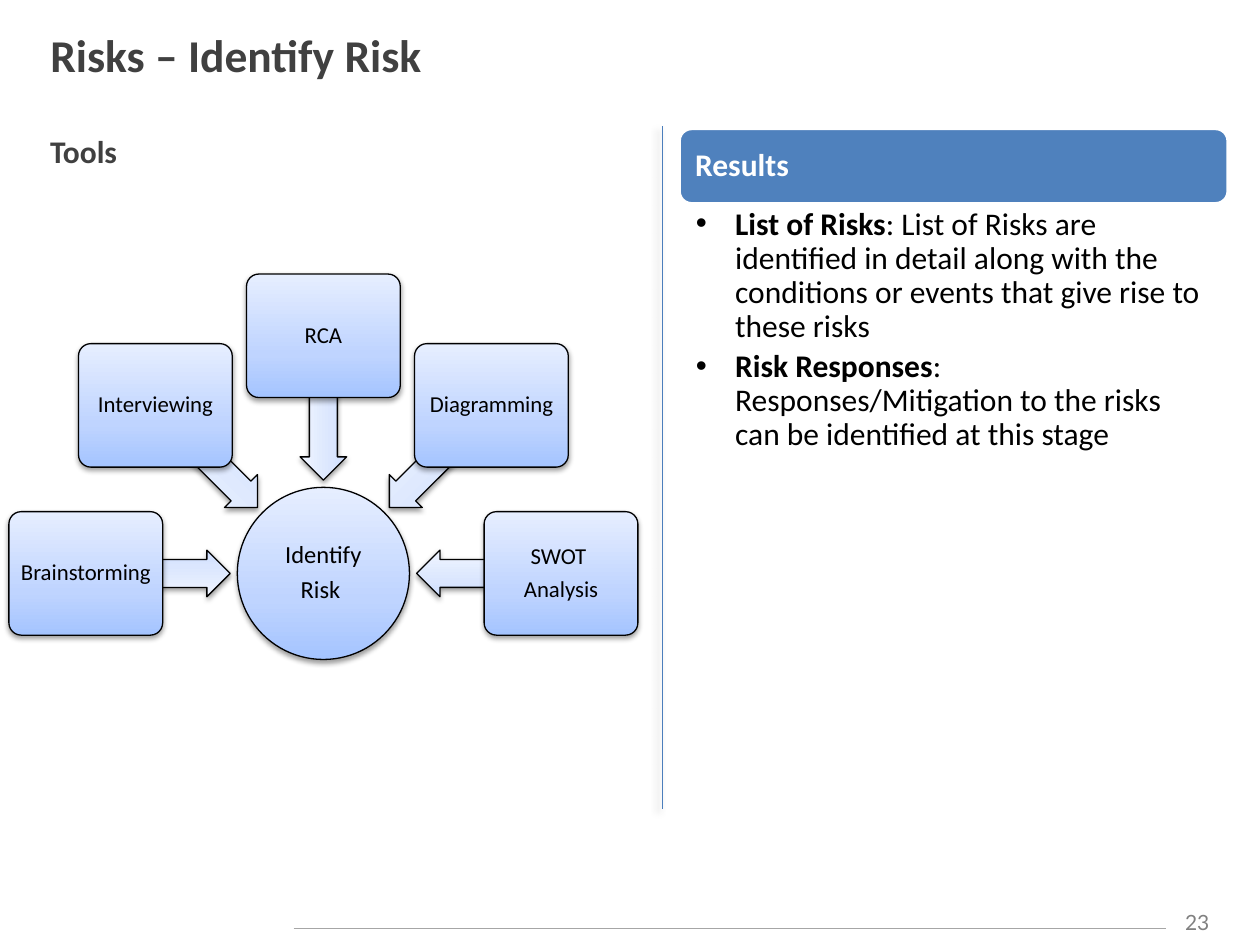
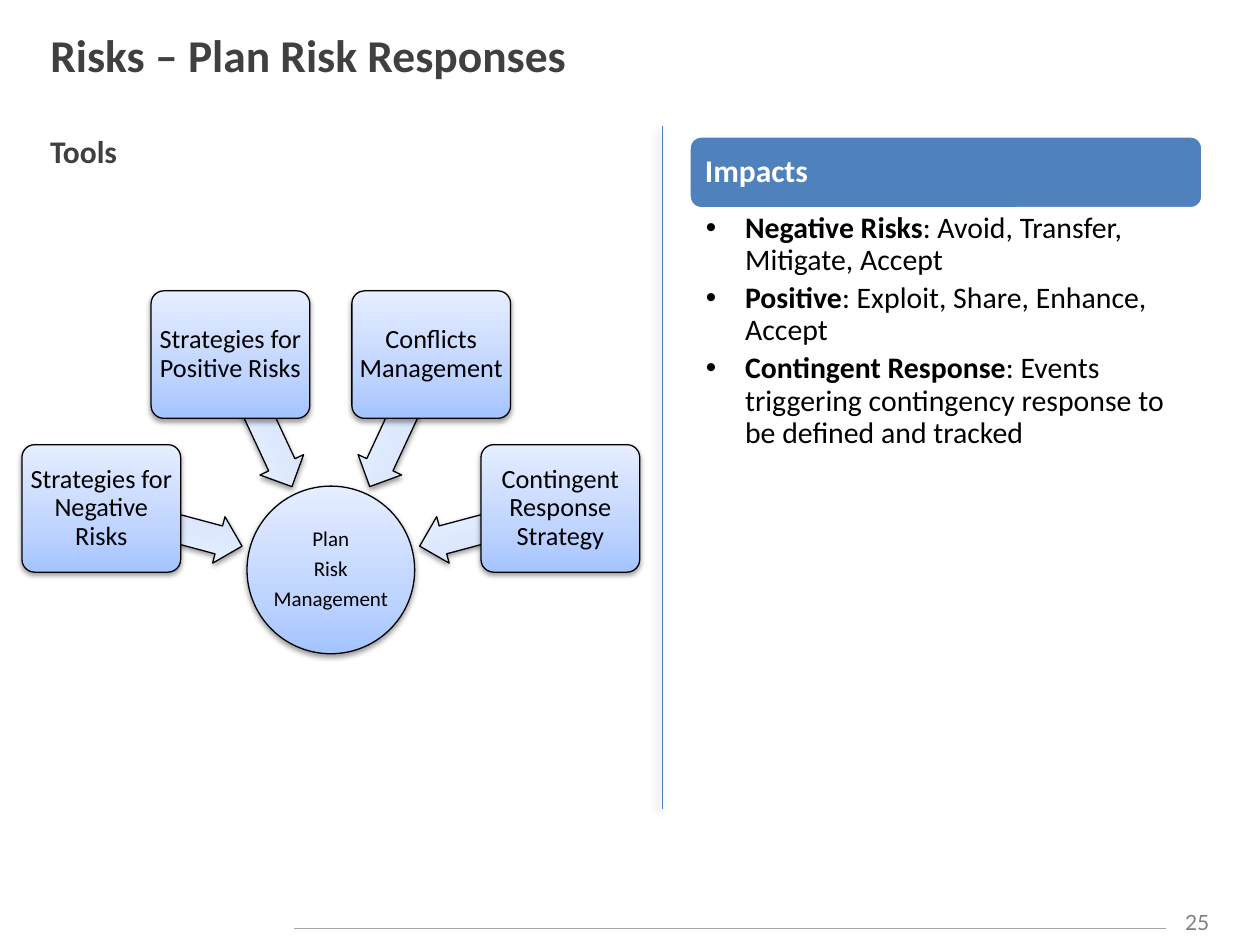
"""Build two risk slides: a wheel of tools beside a panel of findings."""
import math
from dataclasses import dataclass
from typing import Any

import pptx
import pptx.dml.color
import pptx.enum.shapes
import pptx.enum.text
import pptx.oxml
import pptx.oxml.ns
import pptx.util

Cm = pptx.util.Cm
Pt = pptx.util.Pt
Align = pptx.enum.text.PP_ALIGN
Anchor = pptx.enum.text.MSO_ANCHOR
Preset = pptx.enum.shapes.MSO_SHAPE
Runs = list[tuple[str, bool]]

DARK, BLACK, WHITE, GREY = "404040", "000000", "FFFFFF", "808080"
RULE, DIVIDER, BANNER = "A6A6A6", "4B7EBC", "4F81BD"
BOX_GRADIENT = {0: "A4C4FF", 35: "BFD4FF", 100: "E6EEFF"}
ARROW_GRADIENT = {0: "CDDDFE", 35: "DBE6FE", 100: "F0F5FF"}
TOOL_RADIUS, ARROW_RADIUS = 4.79, 3.33
BULLET_INDENT = Cm(0.79)


@dataclass(frozen=True)
class Area:
    """A rectangle in centimetres."""
    left: float
    top: float
    width: float
    height: float

    def lengths(self) -> list[int]:
        """Return left, top, width and height as lengths."""
        return [Cm(value) for value in (self.left, self.top, self.width, self.height)]


@dataclass(frozen=True)
class TextStyle:
    """Font and paragraph settings for one kind of text."""
    size: float
    color: str
    font: str = "Calibri"
    align: Any = Align.LEFT
    line_spacing: float = 1.0
    after: float = 0.0


@dataclass(frozen=True)
class Shadow:
    """An outer shadow, with opacity in percent and lengths in points."""
    opacity: int
    blur: float
    distance: float
    direction: int


@dataclass(frozen=True)
class Wheel:
    """A hub with tools placed evenly on an arc above it."""
    center: tuple[float, float]
    hub: list[str]
    hub_diameter: float
    hub_size: int
    tools: list[list[str]]
    tool_size: int
    box: tuple[float, float]
    arrow: tuple[float, float]
    first_angle: int
    step: int


@dataclass(frozen=True)
class Panel:
    """A banner with a bulleted list below it."""
    heading: str
    banner: Area
    list_height: float
    size: int
    items: list[tuple[str, str]]


@dataclass(frozen=True)
class RiskSlide:
    """The content of one slide."""
    title: str
    number: str
    wheel: Wheel
    panel: Panel


BOX_SHADOW = Shadow(38, 3.1, 1.6, 90)
DIVIDER_SHADOW = Shadow(40, 4, 3, 135)

SLIDES = [
    RiskSlide(
        "Risks – Identify Risk", "23",
        Wheel((6.52, 11.56), ["Identify", "Risk "], 3.47, 14,
              [["Brainstorming"], ["Interviewing"], ["RCA"], ["Diagramming"],
               ["SWOT ", "Analysis"]],
              13, (3.1, 2.49), (2.9, 0.94), 180, 45),
        Panel("Results", Area(13.69, 2.59, 11.07, 1.52), 5.28, 18, [
            ("List of Risks", ": List of Risks are identified in detail along with "
                              "the conditions or events that give rise to these risks"),
            ("Risk Responses", ": Responses/Mitigation to the risks can be "
                               "identified at this stage"),
        ])),
    RiskSlide(
        "Risks – Plan Risk Responses", "25",
        Wheel((6.67, 11.49), ["Plan", "Risk", "Management"], 3.38, 12,
              [["Strategies for Negative Risks"], ["Strategies for Positive Risks"],
               ["Conflicts Management"], ["Contingent Response Strategy"]],
              15, (3.2, 2.57), (2.95, 0.97), 195, 50),
        Panel("Impacts", Area(13.89, 2.74, 10.36, 1.47), 5.05, 17, [
            ("Negative Risks", ": Avoid, Transfer, Mitigate, Accept"),
            ("Positive", ": Exploit, Share, Enhance, Accept"),
            ("Contingent Response", ": Events triggering contingency response "
                                    "to be defined and tracked"),
        ])),
]


def rgb(color: str) -> pptx.dml.color.RGBColor:
    """Turn a hex string into a colour."""
    return pptx.dml.color.RGBColor.from_string(color)


def apply_format(target: Any, values: dict[str, Any]) -> None:
    """Set each named attribute on the target."""
    for name, value in values.items():
        setattr(target, name, value)


def margins(left: float, top: float, right: float, bottom: float) -> dict[str, Any]:
    """Return text frame margins given in centimetres."""
    sides = {"left": left, "top": top, "right": right, "bottom": bottom}
    return {f"margin_{side}": Cm(value) for side, value in sides.items()}


def write_text(frame: Any, paragraphs: list[Runs], style: TextStyle,
               frame_format: dict[str, Any]) -> None:
    """Fill a text frame with styled paragraphs."""
    apply_format(frame, {"word_wrap": True,
                         "auto_size": pptx.enum.text.MSO_AUTO_SIZE.NONE, **frame_format})
    for index, runs in enumerate(paragraphs):
        paragraph = frame.add_paragraph() if index else frame.paragraphs[0]
        apply_format(paragraph, {"alignment": style.align, "space_before": Pt(0),
                                 "line_spacing": style.line_spacing,
                                 "space_after": Pt(round(style.size * style.after, 2))})
        for text, bold in runs:
            run = paragraph.add_run()
            run.text = text
            apply_format(run.font, {"name": style.font, "size": Pt(style.size), "bold": bold})
            run.font.color.rgb = rgb(style.color)


def add_effects(properties: Any, shadow: Shadow | None) -> None:
    """Give shape properties an effect list, with a shadow if there is one."""
    tag = pptx.oxml.ns.qn("a:effectLst")
    effects = properties.find(tag)
    if effects is None:
        effects = properties.makeelement(tag, {})
        properties.append(effects)
    if shadow:
        effects.append(pptx.oxml.parse_xml(
            f'<a:outerShdw {pptx.oxml.ns.nsdecls("a")} blurRad="{Pt(shadow.blur)}" '
            f'dist="{Pt(shadow.distance)}" dir="{shadow.direction * 60000}" '
            f'rotWithShape="0"><a:srgbClr val="{BLACK}">'
            f'<a:alpha val="{shadow.opacity * 1000}"/></a:srgbClr></a:outerShdw>'))


def add_rule(slide: Any, ends: tuple[float, float, float, float], color: str,
             width: float, shadow: Shadow | None = None) -> None:
    """Draw a straight line."""
    rule = slide.shapes.add_connector(pptx.enum.shapes.MSO_CONNECTOR.STRAIGHT,
                                      *(Cm(value) for value in ends))
    rule.line.color.rgb = rgb(color)
    rule.line.width = Pt(width)
    add_effects(rule._element.spPr, shadow)


def add_gradient_shape(slide: Any, preset: Any, center: tuple[float, float],
                       size: tuple[float, float], gradient: dict[int, str],
                       adjustments: tuple[float, ...] = (), rotation: float = 0) -> Any:
    """Draw a shaded shape around its centre."""
    (x, y), (width, height) = center, size
    area = Area(x - width / 2, y - height / 2, width, height)
    shape = slide.shapes.add_shape(preset, *area.lengths())
    shape.rotation = rotation
    for index, value in enumerate(adjustments):
        shape.adjustments[index] = value
    shape.fill.gradient()
    properties = shape._element.spPr
    stops = "".join(f'<a:gs pos="{place * 1000}"><a:srgbClr val="{color}"/></a:gs>'
                    for place, color in gradient.items())
    properties.replace(properties.find(pptx.oxml.ns.qn("a:gradFill")), pptx.oxml.parse_xml(
        f'<a:gradFill {pptx.oxml.ns.nsdecls("a")} rotWithShape="1"><a:gsLst>{stops}</a:gsLst>'
        '<a:lin ang="16200000" scaled="0"/></a:gradFill>'))
    shape.line.color.rgb = rgb(BLACK)
    shape.line.width = Pt(0.75)
    shape.shadow.inherit = False
    add_effects(properties, BOX_SHADOW)
    return shape


def write_label(shape: Any, lines: list[str], size: int, inset: float) -> None:
    """Centre a label in a wheel shape."""
    style = TextStyle(size, BLACK, align=Align.CENTER, line_spacing=0.9, after=0.35)
    write_text(shape.text_frame, [[(line, False)] for line in lines], style,
               {"vertical_anchor": Anchor.MIDDLE, **margins(*[inset] * 4)})


def draw_wheel(slide: Any, wheel: Wheel) -> None:
    """Draw the hub, then each tool with its arrow."""
    hub = add_gradient_shape(slide, Preset.OVAL, wheel.center,
                             (wheel.hub_diameter, wheel.hub_diameter), BOX_GRADIENT)
    write_label(hub, wheel.hub, wheel.hub_size, 0.03)
    for index, tool in enumerate(wheel.tools):
        angle = wheel.first_angle + index * wheel.step
        toward = math.cos(math.radians(angle)), math.sin(math.radians(angle))
        arrow_center, box_center = (
            (wheel.center[0] + radius * toward[0], wheel.center[1] + radius * toward[1])
            for radius in (ARROW_RADIUS, TOOL_RADIUS))
        add_gradient_shape(slide, Preset.LEFT_ARROW, arrow_center, wheel.arrow,
                           ARROW_GRADIENT, (0.6, 0.5), angle % 360)
        box = add_gradient_shape(slide, Preset.ROUNDED_RECTANGLE, box_center, wheel.box,
                                 BOX_GRADIENT, (0.1,))
        write_label(box, tool, wheel.tool_size, 0.08)


def draw_panel(slide: Any, panel: Panel) -> None:
    """Draw the banner and fill the body placeholder below it."""
    area = panel.banner
    banner = slide.shapes.add_shape(Preset.ROUNDED_RECTANGLE, *area.lengths())
    banner.fill.solid()
    banner.fill.fore_color.rgb = rgb(BANNER)
    banner.line.color.rgb = rgb(WHITE)
    banner.line.width = Pt(2)
    banner.shadow.inherit = False
    write_text(banner.text_frame, [[(panel.heading, True)]],
               TextStyle(18, WHITE, line_spacing=0.9, after=0.35),
               {"vertical_anchor": Anchor.MIDDLE, **margins(*[0.25] * 4)})

    findings = slide.placeholders[1]
    place(findings, Area(area.left, area.top + area.height, area.width, panel.list_height))
    write_text(findings.text_frame, [[(term, True), (text, False)] for term, text in panel.items],
               TextStyle(panel.size, BLACK, line_spacing=0.9, after=0.2),
               {"vertical_anchor": Anchor.TOP, **margins(0.34, 0.08, 0.44, 0.08)})
    for paragraph in findings.text_frame.paragraphs:
        paragraph.level = 1
        properties = paragraph._p.get_or_add_pPr()
        properties.set("marL", str(BULLET_INDENT))
        properties.set("indent", str(-BULLET_INDENT))
        for bullet in ('buFont {} typeface="Arial"', 'buChar {} char="•"'):
            properties.append(pptx.oxml.parse_xml(
                f'<a:{bullet.format(pptx.oxml.ns.nsdecls("a"))}/>'))


def place(placeholder: Any, area: Area) -> None:
    """Move a placeholder to an area."""
    apply_format(placeholder, dict(zip(("left", "top", "width", "height"), area.lengths())))


def add_note(slide: Any, area: Area, text: str, bold: bool, style: TextStyle,
             wrap: bool) -> None:
    """Add a one-line text box."""
    note = slide.shapes.add_textbox(*area.lengths())
    write_text(note.text_frame, [[(text, bold)]], style, {"word_wrap": wrap})


def draw_frame(slide: Any, title: str, number: str) -> None:
    """Draw the title, divider, tools heading and footer that all slides share."""
    place(slide.shapes.title, Area(0.76, 0.3, 23.77, 1.6))
    write_text(slide.shapes.title.text_frame, [[(title, True)]], TextStyle(26, DARK),
               {"vertical_anchor": Anchor.MIDDLE})
    add_rule(slide, (5.92, 18.72, 23.5, 18.72), RULE, 0.75)
    add_note(slide, Area(23.5, 18.21, 1.27, 0.76), number, False,
             TextStyle(12, GREY, "Lato", Align.CENTER), True)
    add_rule(slide, (13.34, 2.54, 13.34, 16.31), DIVIDER, 0.25, DIVIDER_SHADOW)
    add_note(slide, Area(0.76, 2.54, 1.88, 1.02), "Tools", True, TextStyle(18, DARK), False)


def main() -> None:
    """Build and save the presentation."""
    presentation = pptx.Presentation()
    presentation.slide_width, presentation.slide_height = Cm(25.4), Cm(19.05)
    for content in SLIDES:
        slide = presentation.slides.add_slide(presentation.slide_layouts[1])
        draw_frame(slide, content.title, content.number)
        draw_wheel(slide, content.wheel)
        draw_panel(slide, content.panel)
    presentation.save("out.pptx")


if __name__ == "__main__":
    main()
